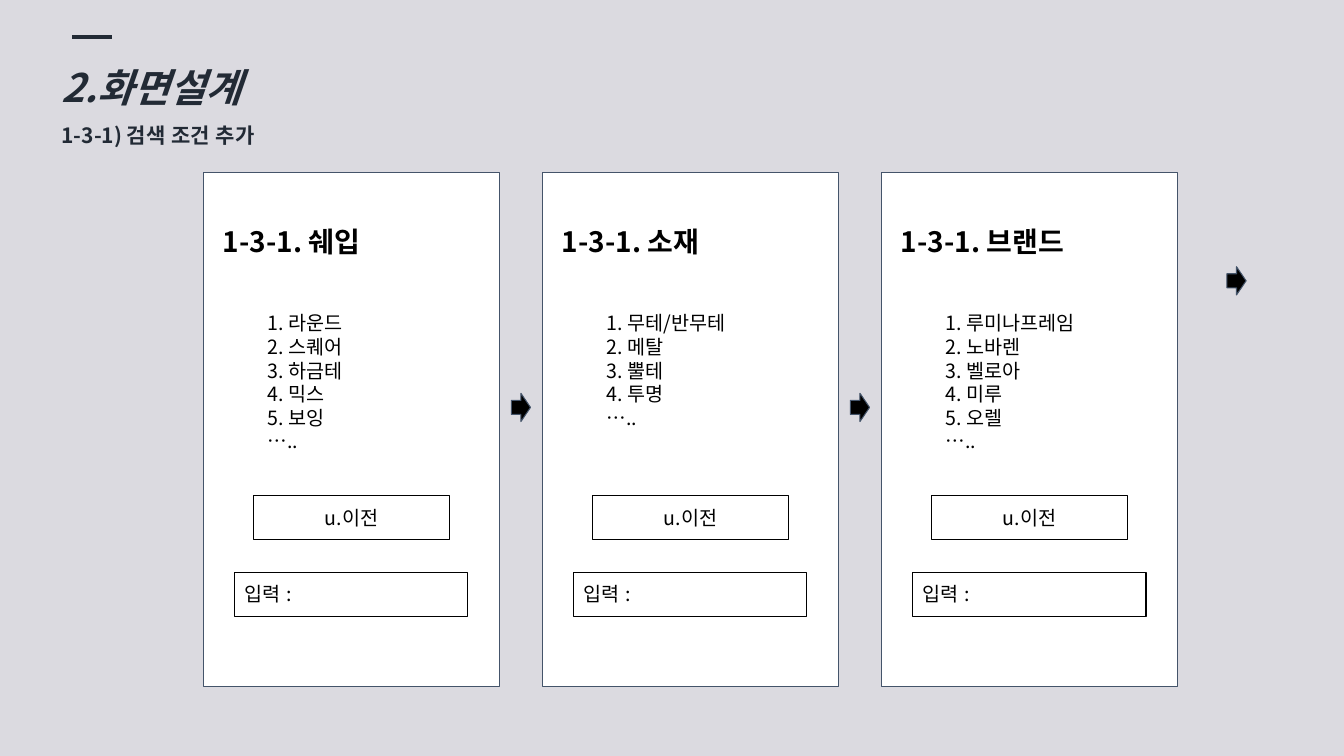
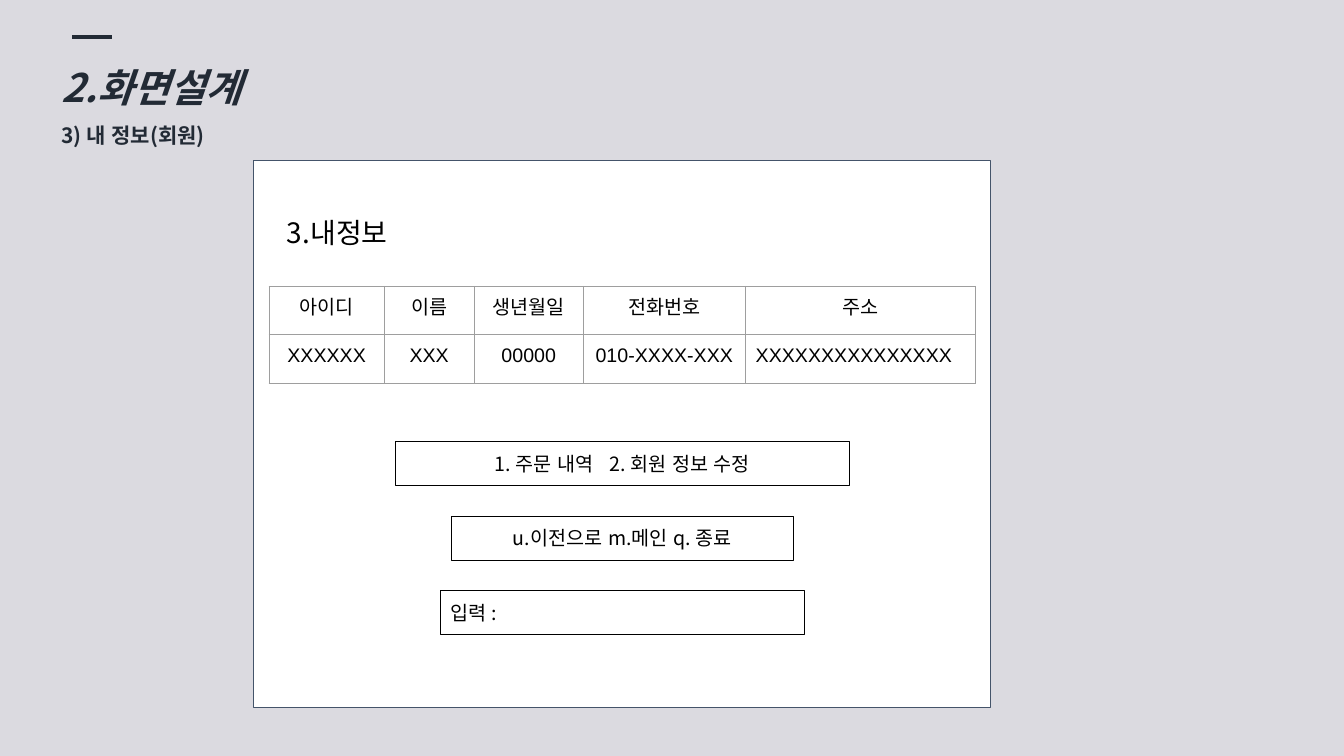
"""Builds two screen-design slides with wireframe panels."""
from lxml import etree
from pptx import Presentation
from pptx.dml.color import RGBColor
from pptx.enum.lang import MSO_LANGUAGE_ID
from pptx.enum.shapes import MSO_CONNECTOR, MSO_SHAPE
from pptx.enum.text import MSO_ANCHOR, MSO_AUTO_SIZE, PP_ALIGN
from pptx.oxml.ns import qn
from pptx.util import Pt

COLORS = {"bg": "DBDAE0", "title": "222A35", "panel": "FFFFFF",
          "edge": "44546A", "ink": "000000", "grid": "9E9E9E"}
FONT = "Noto Sans CJK KR"
TABLE_FONT = "Arial"
INSET = 7.2
BOX_H = 31.4
ARROW_W, ARROW_H = 13.7, 20.2


def rgb(name):
    return RGBColor.from_string(COLORS[name])


def set_text(tf, text, size=14, font=FONT, color="ink", bold=False, italic=False,
             align=PP_ALIGN.LEFT, spacing=1.0, add=False):
    for i, line in enumerate(text.split("\n")):
        p = tf.add_paragraph() if add or i else tf.paragraphs[0]
        p.alignment, p.line_spacing = align, spacing
        p.space_before = p.space_after = Pt(0)
        r = p.add_run()
        r.text = line
        f = r.font
        f.name, f.size, f.bold, f.italic = font, Pt(size), bold, italic
        f.color.rgb = rgb(color)
        f.language_id = MSO_LANGUAGE_ID.KOREAN
        ea = etree.Element(qn("a:ea"), typeface=font)
        r._r.rPr.find(qn("a:latin")).addnext(ea)


def setup_frame(tf, dx=INSET, dy=INSET):
    tf.word_wrap = True
    tf.auto_size = MSO_AUTO_SIZE.NONE
    tf.vertical_anchor = MSO_ANCHOR.TOP
    tf.margin_left = tf.margin_right = Pt(dx)
    tf.margin_top = tf.margin_bottom = Pt(dy)


def add_label(shapes, x, y, w, h, text, **fmt):
    sp = shapes.add_textbox(Pt(x), Pt(y), Pt(w), Pt(h))
    setup_frame(sp.text_frame)
    set_text(sp.text_frame, text, **fmt)


def add_box(shapes, x, y, w, h, kind=MSO_SHAPE.RECTANGLE, fill=None, line="ink"):
    sp = shapes.add_shape(kind, Pt(x), Pt(y), Pt(w), Pt(h))
    sp.shadow.inherit = False
    if fill:
        sp.fill.solid()
        sp.fill.fore_color.rgb = rgb(fill)
    else:
        sp.fill.background()
    sp.line.color.rgb = rgb(line)
    sp.line.width = Pt(0.75)
    return sp


def add_field(shapes, cx, y, w, text, **fmt):
    sp = add_box(shapes, cx - w / 2, y, w, BOX_H)
    setup_frame(sp.text_frame)
    set_text(sp.text_frame, text, **fmt)


def add_arrow(shapes, x, y):
    add_box(shapes, x, y, ARROW_W, ARROW_H, MSO_SHAPE.RIGHT_ARROW, "ink", "edge")


def add_header(prs, subtitle):
    s = prs.slides.add_slide(prs.slide_layouts[5])
    sp = s.shapes.title
    sp.left, sp.top, sp.width, sp.height = Pt(36.7), Pt(24.5), Pt(309.6), Pt(82)
    tf = sp.text_frame
    setup_frame(tf, 7.2, 3.6)
    style = dict(color="title", bold=True, spacing=1.5)
    set_text(tf, "2.화면설계", size=28, italic=True, **style)
    set_text(tf, subtitle, size=15, add=True, **style)
    rule = s.shapes.add_connector(MSO_CONNECTOR.STRAIGHT, Pt(51.5), Pt(26.5), Pt(80), Pt(26.5))
    rule.line.color.rgb = rgb("title")
    rule.line.width = Pt(3)
    etree.SubElement(rule._element.spPr, qn("a:effectLst"))
    return s


def add_option_panel(s, x, y, w, h, heading, options):
    shapes = s.shapes.add_group_shape().shapes
    cx = x + w / 2
    add_box(shapes, x, y, w, h, fill="panel", line="edge")
    add_label(shapes, x + 6.5, y + 30.2, 151, 39, heading, size=20, bold=True)
    add_label(shapes, cx - 67, y + 92, 134, 17 * len(options) + 2 * INSET, "\n".join(options))
    add_field(shapes, cx, y + 231, 140.5, "u.이전", align=PP_ALIGN.CENTER)
    add_field(shapes, cx, y + 285.6, 166.5, "입력 :")


def add_grid(s, x, y, widths, row_h, rows):
    frame = s.shapes.add_table(len(rows), len(widths), Pt(x), Pt(y),
                               Pt(sum(widths)), Pt(row_h * len(rows)))
    table = frame.table
    table.first_row = table.horz_banding = False
    for col, w in zip(table.columns, widths):
        col.width = Pt(w)
    for i, row in enumerate(rows):
        table.rows[i].height = Pt(row_h)
        for j, text in enumerate(row):
            cell = table.cell(i, j)
            cell.margin_left = cell.margin_right = Pt(INSET)
            cell.margin_top = cell.margin_bottom = Pt(INSET)
            last = i == len(rows) - 1 and j == len(row) - 1
            set_text(cell.text_frame, text, font=TABLE_FONT,
                     align=PP_ALIGN.LEFT if last else PP_ALIGN.CENTER)
            tcPr = cell._tc.get_or_add_tcPr()
            for side in ("lnL", "lnR", "lnT", "lnB"):
                ln = etree.SubElement(tcPr, qn("a:" + side), w=str(Pt(0.75)))
                fill = etree.SubElement(ln, qn("a:solidFill"))
                etree.SubElement(fill, qn("a:srgbClr"), val=COLORS["grid"])
            cell.fill.background()


def add_info_panel(s, x, y, w, h):
    shapes = s.shapes.add_group_shape().shapes
    cx = x + w / 2
    add_box(shapes, x, y, w, h, fill="panel", line="edge")
    add_label(shapes, x + 16.5, y + 32.4, 324, 39, "3.내정보", size=20)
    widths = [82.2, 64.4, 77.8, 116, 164.2]
    add_grid(s, cx - sum(widths) / 2, y + 90, widths, 34.7,
             [["아이디", "이름", "생년월일", "전화번호", "주소"],
              ["XXXXXX", "XXX", "00000", "010-XXXX-XXX", "XXXXXXXXXXXXXXX"]])
    fields = [(324, "1. 주문 내역   2. 회원 정보 수정", PP_ALIGN.CENTER),
              (244.4, "u.이전으로 m.메인 q. 종료", PP_ALIGN.CENTER),
              (260.2, "입력 :", PP_ALIGN.LEFT)]
    for i, (fw, text, align) in enumerate(fields):
        add_field(s.shapes, cx, y + 201 + 53.2 * i, fw, text, align=align)


def build_search_slide(prs):
    s = add_header(prs, "1-3-1) 검색 조건 추가")
    panels = [
        ("1-3-1. 쉐입", ["1. 라운드", "2. 스퀘어", "3. 하금테", "4. 믹스", "5. 보잉", "….."]),
        ("1-3-1. 소재", ["1. 무테/반무테", "2. 메탈", "3. 뿔테", "4. 투명", "….."]),
        ("1-3-1. 브랜드", ["1. 루미나프레임", "2. 노바렌", "3. 벨로아", "4. 미루", "5. 오렐", "….."]),
    ]
    x, y, w, h, gap = 145.5, 123.2, 211, 367.2, 31.2
    for i, (heading, options) in enumerate(panels):
        left = x + i * (w + gap)
        add_option_panel(s, left, y, w, h, heading, options)
        if i < len(panels) - 1:
            add_arrow(s.shapes, left + w + (gap - ARROW_W) / 2, 280.9)
    add_arrow(s.shapes, 876.4, 190.5)


def build_info_slide(prs):
    s = add_header(prs, "3) 내 정보(회원)")
    add_info_panel(s, 181.4, 114.5, 526.3, 391)


def main():
    prs = Presentation()
    prs.slide_width, prs.slide_height = Pt(960), Pt(540)
    fill = prs.slide_master.background.fill
    fill.solid()
    fill.fore_color.rgb = rgb("bg")
    build_search_slide(prs)
    build_info_slide(prs)
    prs.save("out.pptx")


if __name__ == "__main__":
    main()
